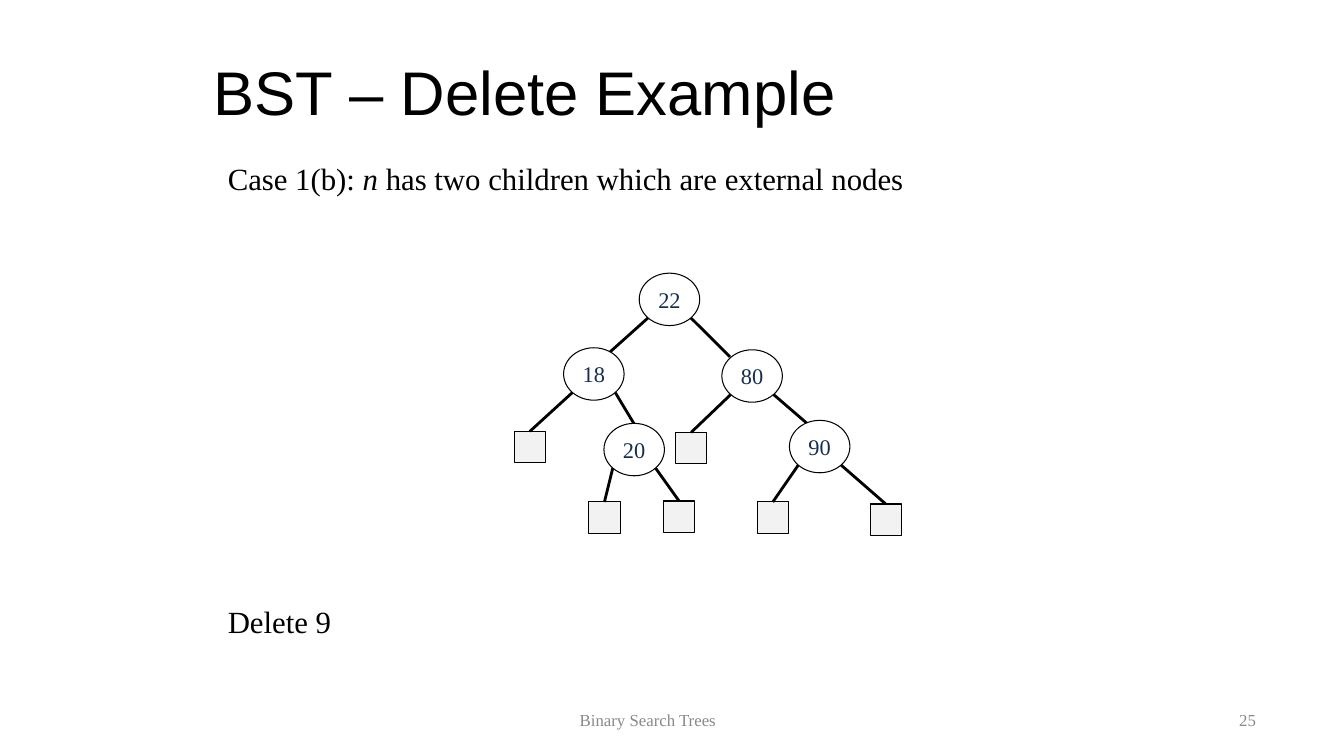
from math import sqrt

from lxml import etree
from pptx import Presentation
from pptx.dml.color import RGBColor
from pptx.enum.shapes import MSO_CONNECTOR, MSO_SHAPE
from pptx.enum.text import MSO_ANCHOR, PP_ALIGN
from pptx.oxml.ns import qn
from pptx.util import Inches, Pt

STRAIGHT = MSO_CONNECTOR.STRAIGHT
OVAL = MSO_SHAPE.OVAL
RECTANGLE = MSO_SHAPE.RECTANGLE
TOP = MSO_ANCHOR.TOP
MIDDLE = MSO_ANCHOR.MIDDLE
LEFT = PP_ALIGN.LEFT
CENTER = PP_ALIGN.CENTER

BLACK = RGBColor(0x00, 0x00, 0x00)
WHITE = RGBColor(0xFF, 0xFF, 0xFF)
NAVY = RGBColor(0x13, 0x2E, 0x51)
GREY = RGBColor(0x89, 0x89, 0x89)
PALE = RGBColor(0xF2, 0xF2, 0xF2)
SERIF = "Times New Roman"
SANS = "Arial"

NODE_WIDTH, NODE_HEIGHT = 0.6, 0.52
LEAF_SIZE = 0.31
DIAGONAL = sqrt(0.5)  # edges leave a node at 45 degrees below its centre

# Internal nodes: key -> left, top
NODES = {
    "22": (6.34, 2.71),
    "18": (5.59, 3.45),
    "80": (7.16, 3.47),
    "20": (5.99, 4.2),
    "90": (7.83, 4.17),
}
# Edges between nodes: parent, side (-1 left, 1 right), end point
NODE_EDGES = [
    ("22", -1, (6.03, 3.51)),
    ("22", 1, (7.24, 3.54)),
    ("18", 1, (6.34, 4.29)),
    ("80", 1, (8.05, 4.24)),
]
# External nodes: parent, side, left and top of the square
LEAVES = [
    ("18", -1, (5.1, 4.28)),
    ("80", -1, (6.7, 4.29)),
    ("20", -1, (5.84, 4.98)),
    ("20", 1, (6.58, 4.97)),
    ("90", -1, (7.51, 4.98)),
    ("90", 1, (8.63, 5.0)),
]


def write_text(frame, text, *, size, font=SERIF, color=BLACK, align=LEFT,
               anchor=TOP, inset_top=0, space_before=0, line_spacing=None,
               italic_part=None):
    """Fill a text frame with one paragraph; italic_part is set in italics."""
    frame.word_wrap = True
    frame.vertical_anchor = anchor
    frame.margin_left = frame.margin_right = frame.margin_bottom = 0
    frame.margin_top = Inches(inset_top)
    paragraph = frame.paragraphs[0]
    paragraph.alignment = align
    paragraph.space_before = Pt(space_before)
    if line_spacing:
        paragraph.line_spacing = Pt(line_spacing)
    before, part, after = text.partition(italic_part) if italic_part else (text, "", "")
    for piece in filter(None, (before, part, after)):
        run = paragraph.add_run()
        run.text = piece
        run.font.name = font
        run.font.size = Pt(size)
        run.font.italic = piece == italic_part
        run.font.color.rgb = color


def add_text(slide, text, left, top, width, height, **text_format):
    box = slide.shapes.add_textbox(
        Inches(left), Inches(top), Inches(width), Inches(height))
    write_text(box.text_frame, text, **text_format)


def add_outlined(slide, kind, position, width, height, fill):
    left, top = position
    shape = slide.shapes.add_shape(
        kind, Inches(left), Inches(top), Inches(width), Inches(height))
    shape.shadow.inherit = False
    shape.fill.solid()
    shape.fill.fore_color.rgb = fill
    shape.line.color.rgb = BLACK
    shape.line.width = Pt(0.75)
    return shape


def add_node(slide, key):
    node = add_outlined(slide, OVAL, NODES[key], NODE_WIDTH, NODE_HEIGHT, WHITE)
    write_text(node.text_frame, key, size=16, color=NAVY,
               align=CENTER, anchor=MIDDLE)


def add_edge(slide, parent, side, end):
    left, top = NODES[parent]
    start_x = left + NODE_WIDTH / 2 * (1 + side * DIAGONAL)
    start_y = top + NODE_HEIGHT / 2 * (1 + DIAGONAL)
    edge = slide.shapes.add_connector(
        STRAIGHT, Inches(start_x), Inches(start_y), Inches(end[0]), Inches(end[1]))
    edge.line.color.rgb = BLACK
    edge.line.width = Pt(2)
    properties = edge.element.find(qn("p:spPr"))
    etree.SubElement(properties, qn("a:effectLst"))
    return edge


def add_leaf(slide, parent, side, position):
    leaf = add_outlined(slide, RECTANGLE, position, LEAF_SIZE, LEAF_SIZE, PALE)
    left, top = position
    edge = add_edge(slide, parent, side, (left + LEAF_SIZE / 2, top))
    edge.end_connect(leaf, 0)


def main():
    presentation = Presentation()
    presentation.slide_width = Inches(13.33)
    presentation.slide_height = Inches(7.5)
    slide = presentation.slides.add_slide(presentation.slide_layouts[6])

    # Title and explanations
    add_text(slide, "BST – Delete Example", 2.12, 0.53, 10.39, 0.76,
             size=44, font=SANS, inset_top=0.01, space_before=1)
    body = {"size": 22, "inset_top": 0.01, "space_before": 1}
    add_text(slide, "Case 1(b): n has two children which are external nodes",
             2.26, 1.57, 6.9, 0.39, italic_part="n ", **body)
    add_text(slide, "Delete 9", 2.26, 5.97, 1.2, 0.39, **body)

    # Tree: edges lie behind the internal nodes
    for leaf in LEAVES:
        add_leaf(slide, *leaf)
    for edge in NODE_EDGES:
        add_edge(slide, *edge)
    for key in NODES:
        add_node(slide, key)

    # Footer and slide number
    footer = {"size": 12, "color": GREY, "line_spacing": 14.1}
    add_text(slide, "Binary Search Trees", 5.75, 7.05, 1.85, 0.2, **footer)
    add_text(slide, "25", 12.29, 7.05, 0.31, 0.2, **footer)

    presentation.save("out.pptx")


if __name__ == "__main__":
    main()
